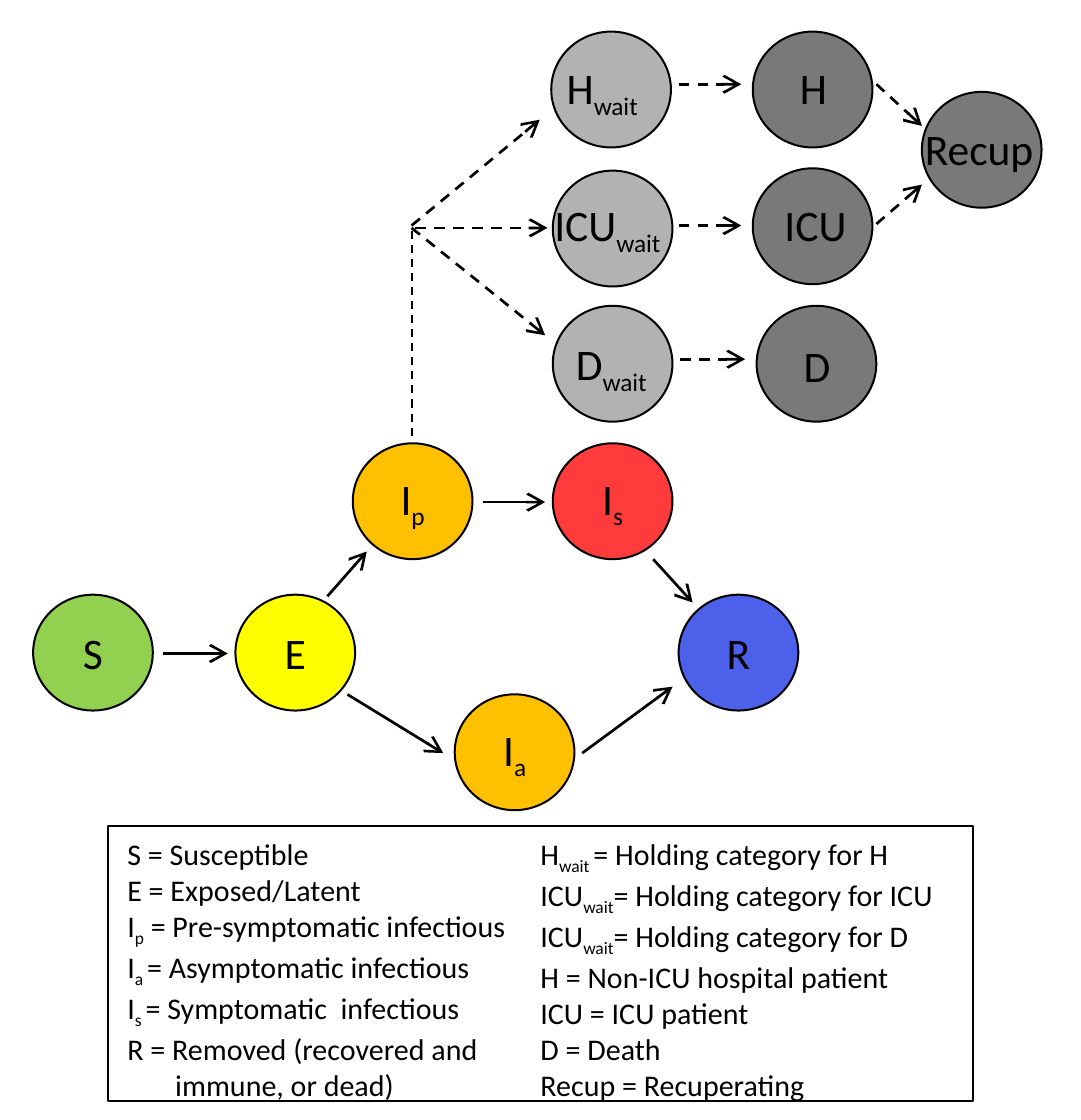
from pptx import Presentation
from pptx import util as u
from pptx.dml.color import RGBColor
from pptx.enum import dml, shapes, text
from pptx.oxml.ns import qn
from lxml import etree

BLACK = RGBColor(0x00, 0x00, 0x00)
GREEN = RGBColor(0x92, 0xD0, 0x50)
YELLOW = RGBColor(0xFF, 0xFF, 0x00)
ORANGE = RGBColor(0xFF, 0xC0, 0x00)
RED = RGBColor(0xFF, 0x3B, 0x3B)
BLUE = RGBColor(0x4D, 0x60, 0xE9)
LIGHT_GREY = RGBColor(0xB2, 0xB2, 0xB2)
DARK_GREY = RGBColor(0x79, 0x79, 0x79)

deck = Presentation()
deck.slide_width, deck.slide_height = u.Cm(14), u.Cm(14.5)
slide = deck.slides.add_slide(deck.slide_layouts[6])


def write(paragraph, wording, size):
    """Write base|subscript|rest into a paragraph."""
    for index, part in enumerate(wording.split("|")):
        run = paragraph.add_run()
        run.text = part
        run.font.name, run.font.size = "Calibri", u.Pt(size)
        run.font.color.rgb = BLACK
        if index == 1:
            run.font._element.set("baseline", "-25000")


def outline(kind, left, top, width, height, fill=None):
    """Add a black-edged shape, unfilled unless a colour is given."""
    shape = slide.shapes.add_shape(
        kind, u.Cm(left), u.Cm(top), u.Cm(width), u.Cm(height))
    shape.shadow.inherit = False
    shape.line.color.rgb, shape.line.width = BLACK, u.Pt(0.75)
    if fill is None:
        shape.fill.background()
    else:
        shape.fill.solid()
        shape.fill.fore_color.rgb = fill
    return shape


# Legend in two columns
LEGEND = [
    "S = Susceptible",
    "E = Exposed/Latent",
    "I|p| = Pre-symptomatic infectious",
    "I|a |= Asymptomatic infectious",
    "I|s |= Symptomatic  infectious",
    "R = Removed (recovered and",
    "immune, or dead)",
    "H|wait |= Holding category for H",
    "ICU|wait|= Holding category for ICU",
    "ICU|wait|= Holding category for D",
    "H = Non-ICU hospital patient",
    "ICU = ICU patient",
    "D = Death",
    "Recup = Recuperating",
]
legend = outline(shapes.MSO_SHAPE.RECTANGLE, 1.4, 10.69, 11.2, 3.56).text_frame
legend.word_wrap = True
legend.auto_size = text.MSO_AUTO_SIZE.SHAPE_TO_FIT_TEXT
legend.vertical_anchor = text.MSO_ANCHOR.TOP
legend._txBody.bodyPr.set("numCol", "2")
for number, entry in enumerate(LEGEND):
    line = legend.add_paragraph() if number else legend.paragraphs[0]
    line.alignment = text.PP_ALIGN.LEFT
    write(line, entry, 11)
    if entry.startswith("immune"):
        line._p.get_or_add_pPr().set("marL", str(u.Cm(0.62)))

# Compartments: label, left, top, colour, label box (left, top, width) if separate
COMPARTMENTS = [
    ("S", 0.43, 7.7, GREEN, None),
    ("E", 3.05, 7.7, YELLOW, None),
    ("I|p", 4.57, 5.74, ORANGE, None),
    ("I|s", 7.16, 5.74, RED, None),
    ("I|a", 5.89, 8.99, ORANGE, None),
    ("R", 8.79, 7.7, BLUE, None),
    ("H|wait", 7.14, 0.41, LIGHT_GREY, (7.09, 0.66, 1.55)),
    ("ICU|wait", 7.16, 2.21, LIGHT_GREY, (6.93, 2.44, 2.21)),
    ("D|wait", 7.16, 3.96, LIGHT_GREY, (7.21, 4.24, 2.21)),
    ("H", 9.75, 0.41, DARK_GREY, (10.11, 0.66, 0.86)),
    ("ICU", 9.75, 2.18, DARK_GREY, (9.91, 2.44, 1.45)),
    ("D", 9.8, 3.96, DARK_GREY, (10.16, 4.27, 0.69)),
    ("Recup", 11.94, 1.19, DARK_GREY, (11.73, 1.45, 2.06)),
]
for label, left, top, colour, label_box in COMPARTMENTS:
    circle = outline(shapes.MSO_SHAPE.OVAL, left, top, 1.55, 1.5, colour)
    if label_box:
        box_left, box_top, box_width = label_box
        frame = slide.shapes.add_textbox(
            u.Cm(box_left), u.Cm(box_top), u.Cm(box_width), u.Cm(0.94)).text_frame
        frame.auto_size = text.MSO_AUTO_SIZE.SHAPE_TO_FIT_TEXT
    else:
        frame = circle.text_frame
        frame.vertical_anchor = text.MSO_ANCHOR.MIDDLE
        frame.paragraphs[0].alignment = text.PP_ALIGN.CENTER
    frame.word_wrap = True
    write(frame.paragraphs[0], label, 16)

# Flows: start x, y, end x, y
INFECTION_FLOWS = [
    (2.11, 8.46, 2.95, 8.46),    # S to E
    (4.24, 7.72, 4.75, 7.14),    # E to Ip
    (4.5, 8.99, 5.74, 9.75),     # E to Ia
    (6.25, 6.5, 7.06, 6.5),      # Ip to Is
    (7.54, 9.75, 8.71, 8.89),    # Ia to R
    (8.46, 7.24, 8.97, 7.8),     # Is to R
]
HOSPITAL_FLOWS = [
    (5.33, 2.92, 6.99, 1.55),    # branch to Hwait
    (5.38, 2.95, 7.09, 2.95),    # branch to ICUwait
    (5.33, 2.95, 7.06, 4.34),    # branch to Dwait
    (8.79, 1.09, 9.6, 1.09),     # Hwait to H
    (8.79, 2.92, 9.6, 2.92),     # ICUwait to ICU
    (8.81, 4.65, 9.65, 4.65),    # Dwait to D
    (11.35, 1.09, 11.94, 1.63),  # H to Recup
    (11.35, 2.9, 11.94, 2.39),   # ICU to Recup
]
HOSPITAL_TRUNK = [(5.33, 5.64, 5.33, 2.95)]
for flows, width, dashed, arrow in [
    (INFECTION_FLOWS, 1, False, True),
    (HOSPITAL_FLOWS, 1, True, True),
    (HOSPITAL_TRUNK, 0.75, True, False),
]:
    for ends in flows:
        flow = slide.shapes.add_connector(
            shapes.MSO_CONNECTOR.STRAIGHT, *[u.Cm(end) for end in ends])
        flow.line.color.rgb, flow.line.width = BLACK, u.Pt(width)
        if dashed:
            flow.line.dash_style = dml.MSO_LINE.DASH
        if arrow:
            etree.SubElement(flow.line._get_or_add_ln(), qn("a:tailEnd"), type="arrow")
        etree.SubElement(flow._element.spPr, qn("a:effectLst"))

deck.save("out.pptx")
